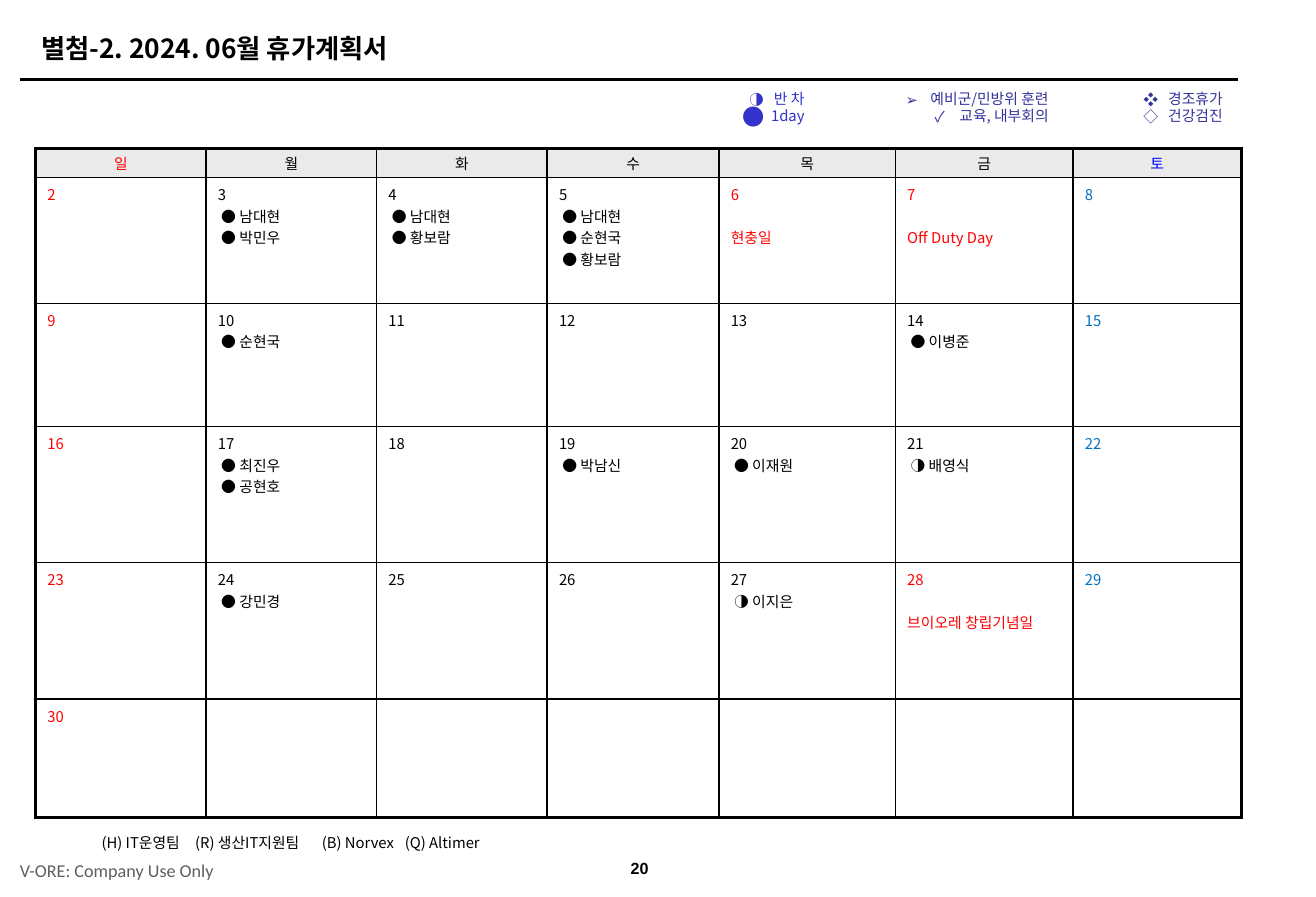
from dataclasses import dataclass

from lxml.etree import SubElement
from pptx import Presentation
from pptx.dml.color import RGBColor
from pptx.enum.shapes import MSO_CONNECTOR
from pptx.enum.text import MSO_ANCHOR, MSO_AUTO_SIZE, PP_ALIGN
from pptx.oxml import parse_xml
from pptx.oxml.ns import nsdecls, qn
from pptx.util import Inches, Pt

TITLE = "별첨-2. 2024. 06월 휴가계획서"
WEEKDAYS = ["일", "월", "화", "수", "목", "금", "토"]
FIRST_SUNDAY, LAST_DAY = 2, 30
LEAVE = {
    3: ["● 남대현", "● 박민우"],
    4: ["● 남대현", "● 황보람"],
    5: ["● 남대현", "● 순현국", "● 황보람"],
    10: ["● 순현국"],
    14: ["● 이병준"],
    17: ["● 최진우", "● 공현호"],
    19: ["● 박남신"],
    20: ["● 이재원"],
    21: ["◑ 배영식"],
    24: ["● 강민경"],
    27: ["◑ 이지은"],
}
HOLIDAYS = {6: "현충일", 7: "Off Duty Day", 28: "브이오레 창립기념일"}
TEAMS = ["(H) IT운영팀", "(R) 생산IT지원팀", "(B) Norvex", "(Q) Altimer"]
TEAM_TABS = [0.79, 1.86, 2.56]
CONFIDENTIAL = "V-ORE: Company Use Only"
PAGE = "20"


@dataclass(frozen=True)
class Theme:
    korean: str = "Noto Sans CJK KR"
    footer: str = "Calibri"
    number: str = "Arial"
    ink: str = "000000"
    red: str = "FF0000"
    sunday_head: str = "FF0000"
    saturday_head: str = "0000FF"
    saturday: str = "0070C0"
    head_fill: str = "EAEAEA"
    leave_key: str = "3333CC"
    event_key: str = "333399"
    grey: str = "5F5F5F"
    title_size: float = 16
    body_size: float = 9
    footer_size: float = 11
    number_size: float = 9.8
    body_line: float = 13
    outer: float = 2
    inner: float = 1


THEME = Theme()

# left, top, width, height, colour, then (bullet, bullet size in percent, text)
LEGENDS = [
    (5.79, 0.72, 1.1, 0.4, THEME.leave_key, [("◑", 100, "반 차"), ("●", 150, " 1day")]),
    (7.36, 0.72, 1.59, 0.4, THEME.event_key,
     [("➢", 100, "예비군/민방위 훈련"), ("✓", 100, "교육, 내부회의")]),
    (8.59, 0.72, 1.83, 0.4, THEME.event_key, [("❖", 100, "경조휴가"), ("◇", 100, "건강검진")]),
]
COLUMN_WIDTHS = [1.44, 1.44, 1.44, 1.45, 1.49, 1.5, 1.42]
ROW_HEIGHTS = [0.25, 1.06, 1.04, 1.15, 1.15, 1]


def write(frame, text, *, size=THEME.body_size, color=THEME.ink, font=THEME.korean,
          bold=False, align=PP_ALIGN.LEFT, line_spacing=None, before=None,
          bullet=None, bullet_size=100, tabs=()):
    """Fill the frame's first paragraph if it is empty, else append one."""
    paragraph = frame.paragraphs[0]
    if paragraph.runs:
        paragraph = frame.add_paragraph()
    properties = paragraph._p.get_or_add_pPr()
    if bullet:
        properties.set("marL", str(Inches(0.21)))
        properties.set("indent", str(Inches(-0.21)))
        SubElement(SubElement(properties, qn("a:buClr")), qn("a:srgbClr"), val=color)
        SubElement(properties, qn("a:buSzPct"), val=str(bullet_size * 1000))
        SubElement(properties, qn("a:buFont"), typeface=font)
        SubElement(properties, qn("a:buChar"), char=bullet)
    if tabs:
        stops = SubElement(properties, qn("a:tabLst"))
        for stop in tabs:
            SubElement(stops, qn("a:tab"), pos=str(Inches(stop)), algn="l")
    paragraph.alignment = align
    if line_spacing:
        paragraph.line_spacing = line_spacing
    if before:
        paragraph.space_before = Pt(before)
    run = paragraph.add_run()
    run.text = text
    run.font.size = Pt(size)
    run.font.bold = bold
    run.font.color.rgb = RGBColor.from_string(color)
    run.font.name = font
    SubElement(run._r.get_or_add_rPr(), qn("a:ea"), typeface=font)


def add_frame(slide, left, top, width, height, anchor=MSO_ANCHOR.TOP):
    frame = slide.shapes.add_textbox(*map(Inches, (left, top, width, height))).text_frame
    frame.word_wrap = True
    frame.vertical_anchor = anchor
    return frame


def set_borders(cell, **widths):
    """Set border widths in points by side: L, R, T and B."""
    properties = cell._tc.get_or_add_tcPr()
    for position, side in enumerate("LRTB"):
        properties.insert(position, parse_xml(
            f'<a:ln{side} {nsdecls("a")} w="{Pt(widths[side])}"><a:solidFill>'
            f'<a:srgbClr val="{THEME.ink}"/></a:solidFill></a:ln{side}>'))


def add_heading(slide):
    title = slide.shapes.title
    title.left, title.top, title.width, title.height = map(Inches, (0.25, 0.22, 9.9, 0.37))
    title.text_frame.auto_size = MSO_AUTO_SIZE.NONE
    title.text_frame.vertical_anchor = MSO_ANCHOR.MIDDLE
    write(title.text_frame, TITLE, size=THEME.title_size, bold=True)

    rule = slide.shapes.add_connector(
        MSO_CONNECTOR.STRAIGHT, *map(Inches, (0.17, 0.67, 10.45, 0.67)))
    rule.line.color.rgb = RGBColor.from_string(THEME.ink)
    rule.line.width = Pt(1.5)
    SubElement(rule._element.spPr, qn("a:effectLst"))


def add_legends(slide):
    for left, top, width, height, color, entries in LEGENDS:
        legend = add_frame(slide, left, top, width, height)
        for bullet, bullet_size, text in entries:
            write(legend, text, color=color, align=PP_ALIGN.RIGHT, line_spacing=0.95,
                  bullet=bullet, bullet_size=bullet_size)


def fill_day(cell, day, column):
    if day in HOLIDAYS or column == 0:
        color = THEME.red
    else:
        color = THEME.saturday if column == 6 else THEME.ink
    write(cell.text_frame, str(day), color=color)
    for entry in LEAVE.get(day, []):
        write(cell.text_frame, " " + entry)
    if day in HOLIDAYS:
        write(cell.text_frame, HOLIDAYS[day], color=color, before=THEME.body_line)


def add_calendar(slide):
    rows, columns = len(ROW_HEIGHTS), len(COLUMN_WIDTHS)
    calendar = slide.shapes.add_table(
        rows, columns, Inches(0.3), Inches(1.25),
        Inches(sum(COLUMN_WIDTHS)), Inches(sum(ROW_HEIGHTS))).table
    calendar.first_row = calendar.horz_banding = False
    for column, width in zip(calendar.columns, COLUMN_WIDTHS):
        column.width = Inches(width)
    for row, height in zip(calendar.rows, ROW_HEIGHTS):
        row.height = Inches(height)

    head_colors = {0: THEME.sunday_head, 6: THEME.saturday_head}
    for row in range(rows):
        for column in range(columns):
            cell = calendar.cell(row, column)
            day = FIRST_SUNDAY + 7 * (row - 1) + column
            if row == 0:
                cell.fill.solid()
                cell.fill.fore_color.rgb = RGBColor.from_string(THEME.head_fill)
                cell.vertical_anchor = MSO_ANCHOR.MIDDLE
                cell.margin_top = cell.margin_bottom = Inches(0.03)
                write(cell.text_frame, WEEKDAYS[column], align=PP_ALIGN.CENTER,
                      color=head_colors.get(column, THEME.ink))
            else:
                cell.fill.background()
                if day <= LAST_DAY:
                    fill_day(cell, day, column)
            edges = {"L": column == 0, "R": column == columns - 1,
                     "T": row == 0, "B": row == rows - 1}
            set_borders(cell, **{side: THEME.outer if outside else THEME.inner
                                 for side, outside in edges.items()})


def add_footer(slide):
    teams = add_frame(slide, 0.76, 7, 3.6, 0.24, MSO_ANCHOR.MIDDLE)
    write(teams, "\t".join(TEAMS), line_spacing=0.95, tabs=TEAM_TABS)
    confidential = add_frame(slide, 0.07, 7.19, 2.2, 0.31, MSO_ANCHOR.MIDDLE)
    write(confidential, CONFIDENTIAL, size=THEME.footer_size, color=THEME.grey,
          font=THEME.footer)
    page = add_frame(slide, 5.13, 7.17, 0.54, 0.31, MSO_ANCHOR.MIDDLE)
    write(page, PAGE, size=THEME.number_size, font=THEME.number, bold=True,
          align=PP_ALIGN.CENTER)


def main():
    deck = Presentation()
    deck.slide_width, deck.slide_height = Inches(11.11), Inches(7.57)
    slide = deck.slides.add_slide(deck.slide_layouts[5])
    add_heading(slide)
    add_legends(slide)
    add_calendar(slide)
    add_footer(slide)
    deck.save("out.pptx")


if __name__ == "__main__":
    main()
